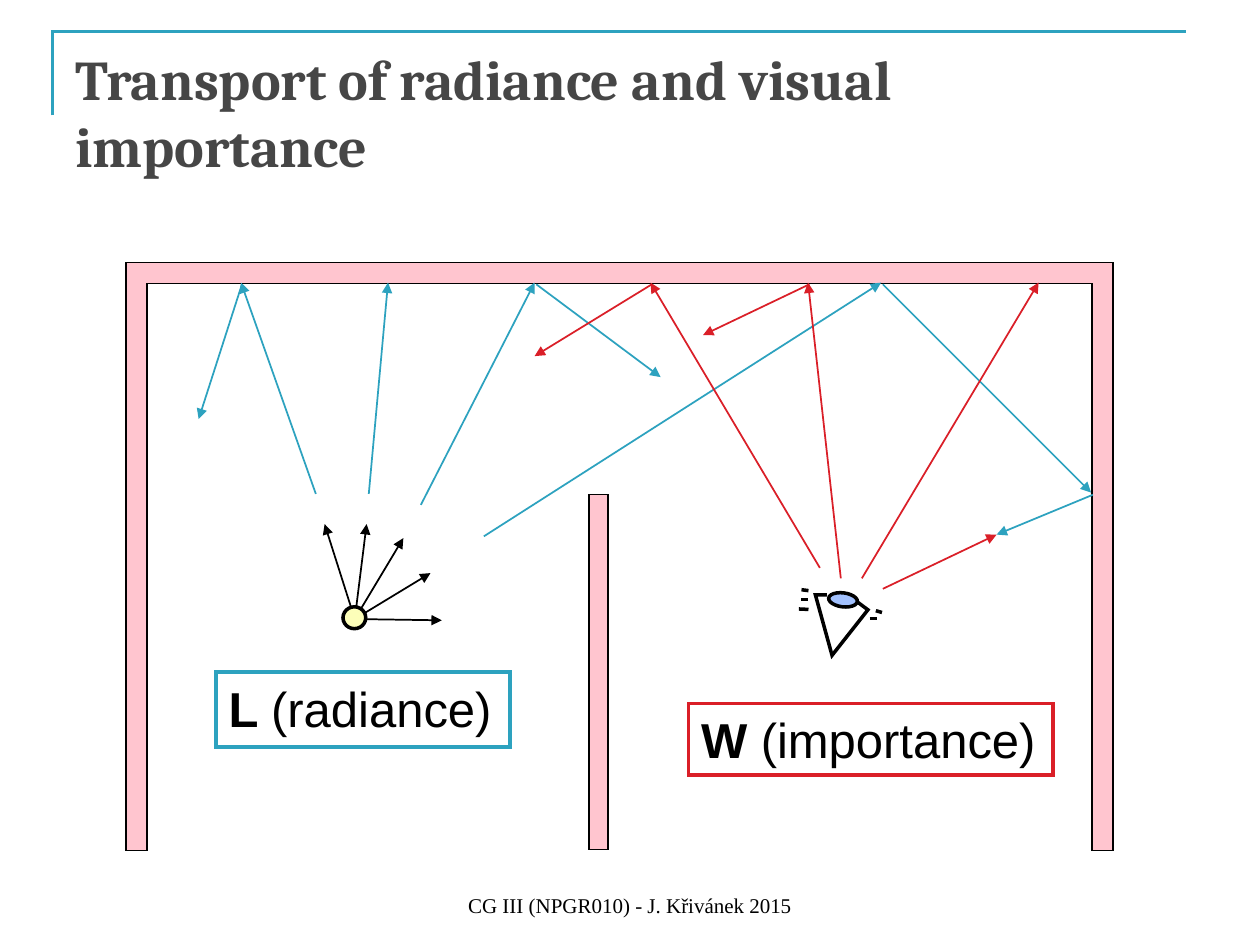
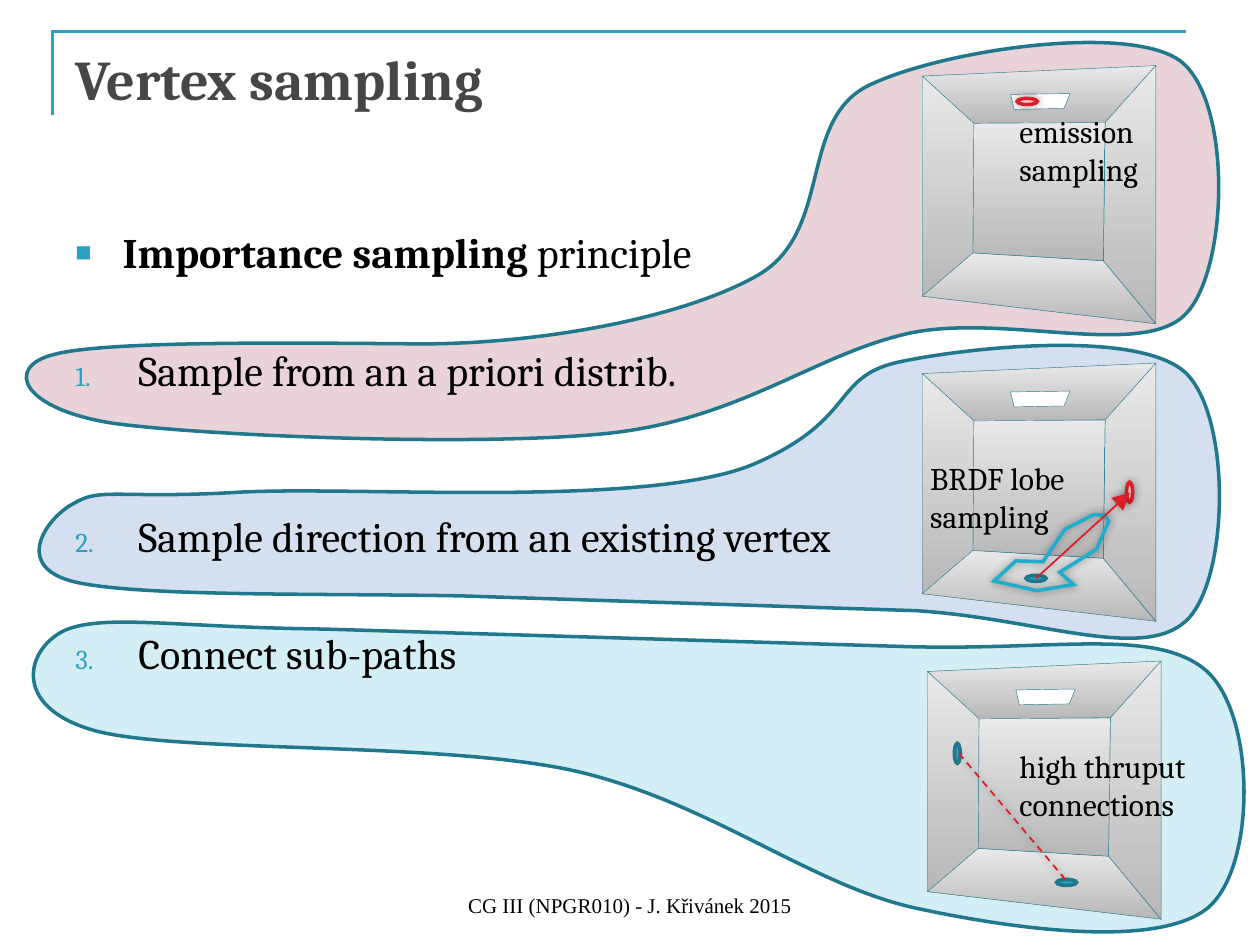
from lxml import etree
from pptx import Presentation
from pptx.dml.color import RGBColor
from pptx.enum.dml import MSO_LINE
from pptx.enum.shapes import MSO_CONNECTOR, MSO_SHAPE
from pptx.enum.text import MSO_ANCHOR, PP_ALIGN
from pptx.oxml.ns import qn
from pptx.util import Pt

THEME = {
    "teal": "2DA2BF", "deep_teal": "21788D", "panel_edge": "227A8F", "lobe": "1FAECD",
    "red": "DA1F28", "pale_red": "F9D1D3", "black": "000000", "white": "FFFFFF",
    "title": "464646", "wall": "FFC5CF", "iris": "A2C1FE", "lamp": "FCFEB9",
    "rose": "EAD3D8", "blue": "D4DFEF", "aqua": "D3EEF5",
    "panel": ("B8B8B8", "E9E9E9"),
    "title_text": ("Cambria", 32), "body_text": ("Cambria", 24),
    "note_text": ("Cambria", 18), "label_text": ("Arial", 28),
    "footer_text": ("Times New Roman", 12),
}


def style(shape, line, width, fill=None, glow=False, arrow=None):
    """Set fill, line, arrowhead size and shadow of a shape or connector by theme names."""
    if hasattr(shape, "fill"):
        if fill is None:
            shape.fill.background()
        elif fill == "panel":
            shape.fill.gradient()
            shape.fill.gradient_angle = 90
            for stop, shade in zip(shape.fill.gradient_stops, THEME[fill]):
                stop.color.rgb = RGBColor.from_string(shade)
        else:
            shape.fill.solid()
            shape.fill.fore_color.rgb = RGBColor.from_string(THEME[fill])
    shape.line.color.rgb = RGBColor.from_string(THEME[line])
    shape.line.width = Pt(width)
    properties = shape._element.spPr
    stroke = properties.find(qn("a:ln"))
    etree.SubElement(stroke, qn("a:miter"), lim="800000")
    if arrow:
        etree.SubElement(stroke, qn("a:tailEnd"), type="triangle", w=arrow, len=arrow)
    effects = etree.SubElement(properties, qn("a:effectLst"))
    if glow:
        shadow = etree.SubElement(effects, qn("a:outerShdw"), blurRad=str(Pt(5)))
        black = etree.SubElement(shadow, qn("a:srgbClr"), val=THEME["black"])
        etree.SubElement(black, qn("a:alpha"), val="40000")


def write_text(slide, box, kind, paragraphs, color="black",
               anchor=MSO_ANCHOR.TOP, align=PP_ALIGN.LEFT):
    """Add a text box; each paragraph is a list of (text, bold) runs."""
    text_box = slide.shapes.add_textbox(*map(Pt, box))
    frame = text_box.text_frame
    frame.word_wrap = True
    frame.vertical_anchor = anchor
    family, size = THEME[kind]
    for index, runs in enumerate(paragraphs):
        paragraph = frame.add_paragraph() if index else frame.paragraphs[0]
        paragraph.alignment = align
        for text, bold in runs:
            run = paragraph.add_run()
            run.text = text
            values = {"name": family, "size": Pt(size), "bold": bold}
            for attribute, value in values.items():
                setattr(run.font, attribute, value)
            run.font.color.rgb = RGBColor.from_string(THEME[color])
    return text_box


presentation = Presentation()
presentation.slide_width, presentation.slide_height = Pt(720), Pt(540)
transport, sampling = [
    presentation.slides.add_slide(presentation.slide_layouts[6]) for _ in range(2)
]

# Outlines: slide, points, closed, style
title_rule = [(30, 66), (30, 18), (678, 18)]
walls = [(84, 486), (72, 486), (72, 150), (636, 150),
         (636, 486), (624, 486), (624, 162), (84, 162)]
eye = [(472.5, 340), (466, 340), (475.5, 374.5), (496, 348.5), (490, 344)]
lobe = [(613.5, 334), (605.5, 327), (626.5, 314), (633.5, 298), (631.5, 294.5),
        (625, 294), (608.5, 302.5), (596, 321), (580.5, 320.5), (568, 332), (592.5, 337.5)]
outlines = [
    (slide, title_rule, False, dict(line="teal", width=1.5)) for slide in (transport, sampling)
]
outlines += [
    (transport, walls, True, dict(line="black", width=1, fill="wall")),
    (transport, eye, False, dict(line="black", width=2)),
]

# Each region is a chain of cubic curves: a start, then two handles and an end per curve
regions = {
    "aqua": [
        (523.5, 519), (584, 532), (662, 541.5), (690, 519),
        (718, 496), (718, 408), (689, 383), (660, 358.5), (602.5, 372), (517.5, 369.5),
        (517.5, 369.5), (185, 359.5), (185, 359.5),
        (100, 358.5), (58.5, 350.5), (36.5, 360.5), (15, 371), (6, 404), (54, 417.5),
        (102, 430.5), (247.5, 423.5), (326, 440), (404, 457), (463, 506), (523.5, 519)],
    "blue": [
        (42.5, 332.5), (79, 341), (179, 339), (263.5, 340.5),
        (263.5, 340.5), (524, 349), (524, 349),
        (593, 353.5), (652.5, 378), (677.5, 355), (702.5, 332.5), (704, 238.5), (677.5, 213),
        (651, 188.5), (556.5, 198), (515.5, 206.5), (475, 214.5), (490.5, 238.5), (433.5, 264),
        (374.5, 291.5), (198.5, 277), (133, 281.5), (67.5, 285), (57.5, 278.5), (42.5, 287.5),
        (27.5, 295), (6, 323.5), (42.5, 332.5)],
    "rose": [
        (241, 196.5), (171.5, 196), (60.5, 194.5), (31, 202.5),
        (2, 209.5), (12, 234), (65.5, 242), (118, 249), (273, 255.5), (348.5, 247.5),
        (425, 239), (466.5, 201.5), (521.5, 190), (576, 179.5), (652.5, 205), (677.5, 179.5),
        (702.5, 153.5), (704, 56), (674, 34.5), (643.5, 13), (536.5, 29), (496, 49),
        (456, 69), (476, 132), (433.5, 157), (391, 181.5), (309.5, 196.5), (241, 196.5)],
}
for fill, controls in regions.items():
    outlines.append((sampling, controls, True, dict(line="deep_teal", width=2, fill=fill)))

# Rooms: four sides between the front and back corners, the back wall and a lamp
front = [(0, 6), (133.5, 0), (133.5, 147.5), (0, 131.75)]
back = [(29.5, 33), (104.5, 32.5), (103.5, 111.5), (29, 107)]
ceiling_lamp = [(81, 24.5), (84.5, 16), (50.5, 16.5), (52.5, 25)]
panels = [
    [front[i], front[(i + 1) % 4], back[(i + 1) % 4], back[i]] for i in (0, 3, 2, 1)
] + [back, ceiling_lamp]
for room_left, room_top in ((527, 37.5), (527, 207.5), (530, 377.75)):
    for panel in panels:
        outlines.append((
            sampling, [(room_left + x, room_top + y) for x, y in panel], True,
            dict(line="panel_edge", width=0.25,
                 fill="white" if panel is ceiling_lamp else "panel")))
outlines.append((sampling, lobe, True, dict(line="lobe", width=2, glow=True)))

for slide, points, closed, look in outlines:
    corners = [(Pt(x), Pt(y)) for x, y in points]
    builder = slide.shapes.build_freeform(*corners[0])
    builder.add_line_segments(corners[1:], close=closed)
    outline = builder.convert_to_shape()
    style(outline, **look)
    if look.get("fill") in regions:
        route = outline._element.find(".//" + qn("a:path"))
        segments = route.findall(qn("a:lnTo"))
        for first in range(0, len(points) - 1, 3):
            curve = etree.Element(qn("a:cubicBezTo"))
            segments[first].addprevious(curve)
            for segment in segments[first:first + 3]:
                curve.append(segment[0])
                route.remove(segment)

# Transport of radiance and importance
partition = transport.shapes.add_shape(
    MSO_SHAPE.RECTANGLE, *map(Pt, (336.5, 282.5, 11, 203)))
style(partition, "black", 1, "wall")

lashes = [
    (458, 337, 462, 337.5), (458, 342.5, 461.5, 342.5), (456.5, 348, 462, 348.25),
    (500.5, 349, 504, 350), (497, 353.5, 501, 353.5),
]
emitted = [
    (202.75, 353.75, *tip)
    for tip in ((252.5, 354.5), (185.5, 299.5), (246, 327.5), (230.5, 307.5), (209.5, 299.5))
]
radiance = [
    (240.5, 288.5, 305.5, 161.5), (210.75, 282.25, 221.75, 161.5),
    (276.5, 306.5, 503.5, 161.5), (180.5, 282.25, 137.75, 161.5),
    (306.5, 162.5, 377.5, 215.5), (504.5, 162.5, 623.5, 281.5),
    (138.25, 162.5, 113.5, 239.5), (624.5, 282.75, 569.5, 305.5),
]
importance = [
    (492.5, 330.5, 593.5, 161.5), (480.5, 330.5, 461.75, 161.5), (504.5, 336.5, 569.5, 305.5),
    (462.5, 162.5, 401.75, 191.5), (468.5, 324.5, 371.75, 161.5), (372.5, 162.5, 305.5, 203.5),
]
for rays, color, width, arrow in (
    (lashes, "black", 2, None), (emitted, "black", 1, "med"),
    (radiance, "teal", 1, "med"), (importance, "red", 1, "med"),
):
    for ray in rays:
        connector = transport.shapes.add_connector(MSO_CONNECTOR.STRAIGHT, *map(Pt, ray))
        style(connector, color, width, arrow=arrow)

# Ovals: slide, centre, size, rotation, style
VERTEX = (11.5, 3.5)
on_light = dict(line="red", width=2, fill="pale_red", glow=True)
on_path = dict(line="deep_teal", width=2, fill="teal")
for slide, (x, y), (width, height), rotation, look in (
    (transport, (481.75, 342.75), (8, 16.5), 277, dict(line="black", width=2, fill="iris")),
    (transport, (202.5, 353), (13, 12.5), 0, dict(line="black", width=2, fill="lamp")),
    (sampling, (587, 58), VERTEX, 0, on_light),
    (sampling, (645.5, 281.25), VERTEX, 270, on_light),
    (sampling, (592, 330.5), VERTEX, 0, on_path),
    (sampling, (609.5, 504.25), VERTEX, 0, on_path),
    (sampling, (547, 430.5), VERTEX, 90, on_path),
):
    oval = slide.shapes.add_shape(
        MSO_SHAPE.OVAL, *map(Pt, (x - width / 2, y - height / 2, width, height)))
    oval.rotation = rotation
    style(oval, **look)

for box, color, symbol, meaning in (
    ((123.5, 384, 168, 43), "teal", "L ", "(radiance)"),
    ((393.5, 402, 208.25, 41), "red", "W ", "(importance)"),
):
    label = write_text(transport, box, "label_text", [[(symbol, True), (meaning, False)]])
    style(label, color, 2)

# Vertex sampling
sampled_direction = sampling.shapes.add_connector(
    MSO_CONNECTOR.STRAIGHT, *map(Pt, (592, 330.5, 645.75, 281.5)))
style(sampled_direction, "red", 1, glow=True, arrow="lg")
connection = sampling.shapes.add_connector(
    MSO_CONNECTOR.STRAIGHT, *map(Pt, (548, 430.5, 610, 504)))
connection.line.dash_style = MSO_LINE.DASH
style(connection, "red", 1, glow=True)

steps = write_text(sampling, (36, 126, 648, 356), "body_text", [
    [("Importance sampling", True), (" principle", False)],
    [("Sample from an a priori distrib.", False)],
    [("Sample direction from an existing vertex", False)],
    [("Connect sub-paths", False)],
])
for paragraph, gap in zip(steps.text_frame.paragraphs, (0, 38.25, 66.25, 38.25)):
    paragraph.space_before = Pt(gap)
    numbered = gap > 0
    indent = Pt(36 if numbered else 27)
    properties = paragraph._p.get_or_add_pPr()
    properties.set("marL", str(indent))
    properties.set("indent", str(-indent))
    bullet_color = etree.SubElement(properties, qn("a:buClr"))
    etree.SubElement(bullet_color, qn("a:srgbClr"), val=THEME["teal"])
    etree.SubElement(properties, qn("a:buSzPct"), val="65000")
    if numbered:
        etree.SubElement(properties, qn("a:buAutoNum"), type="arabicPeriod")
    else:
        etree.SubElement(properties, qn("a:buFont"), typeface="Arial")
        etree.SubElement(properties, qn("a:buChar"), char="■")

for box, lines in (
    ((524.5, 259, 102, 51), ("BRDF lobe", "sampling")),
    ((575.5, 60.5, 89, 51), ("emission", "sampling")),
    ((575.5, 423.25, 117, 51), ("high thruput", "connections")),
):
    write_text(sampling, box, "note_text", [[(line, False)] for line in lines])

# Titles and footers
for slide, title in (
    (transport, "Transport of radiance and visual importance"),
    (sampling, "Vertex sampling"),
):
    write_text(slide, (36, 21.75, 648, 90), "title_text", [[(title, True)]], color="title")
    write_text(slide, (246, 492, 228, 36), "footer_text",
               [[("CG III (NPGR010) - J. Křivánek 2015", False)]],
               anchor=MSO_ANCHOR.BOTTOM, align=PP_ALIGN.CENTER)

presentation.save("out.pptx")
